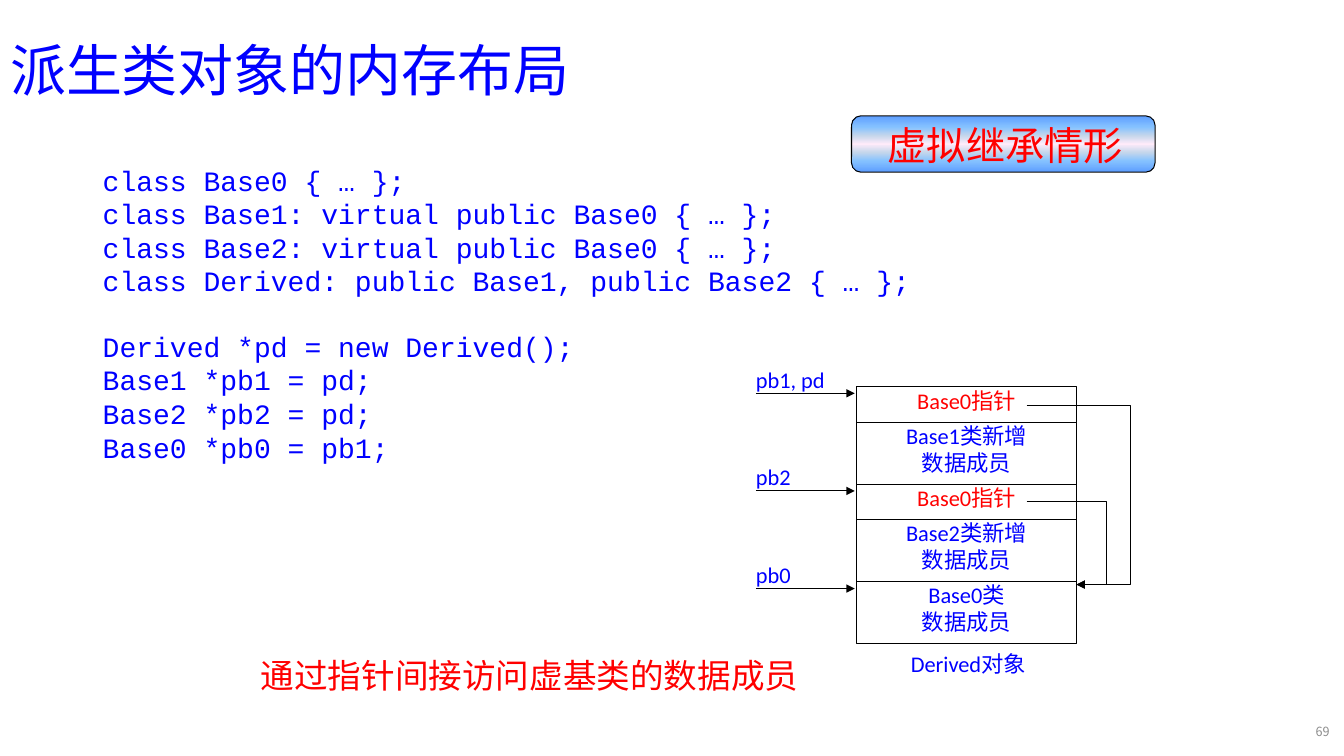
from lxml.etree import SubElement
from pptx import Presentation
from pptx.dml.color import RGBColor
from pptx.enum.shapes import MSO_CONNECTOR, MSO_SHAPE
from pptx.enum.text import MSO_ANCHOR, PP_ALIGN
from pptx.oxml.ns import qn
from pptx.util import Cm, Pt

COLOURS = {
    "blue": "0000FF", "red": "FF0000", "black": "000000", "grey": "8C8C8C",
    "deep sky": "5E9EFF", "sky": "85C2FF", "mist": "C4D6EB", "blush": "FFEBFA",
}
CJK_FONT = "Noto Sans CJK SC"
INSETS = ("margin_left", "margin_top", "margin_right", "margin_bottom")


def colour(name):
    return RGBColor.from_string(COLOURS[name])


class LayoutPage:
    """Holds the current slide and the style of its elements."""

    label_style = {"name": "Calibri", "size": Pt(16)}
    line_width = Pt(0.75)

    def __init__(self, deck):
        self.page = deck.slides.add_slide(deck.slide_layouts[5])
        self.shapes = self.page.shapes

    def fill_text(self, frame, lines, ink, style, **paragraph_format):
        frame.word_wrap = True
        for index, line in enumerate(lines):
            para = frame.paragraphs[0] if index == 0 else frame.add_paragraph()
            for name, value in paragraph_format.items():
                setattr(para, name, value)
            span = para.add_run()
            span.text = line
            for name, value in style.items():
                setattr(span.font, name, value)
            span.font.color.rgb = colour(ink)
            east_asian = SubElement(span.font._element, qn("a:ea"))
            east_asian.set("typeface", CJK_FONT)

    def title(self, text, *place):
        box = self.shapes.title
        box.left, box.top, box.width, box.height = map(Cm, place)
        box.text_frame.vertical_anchor = MSO_ANCHOR.MIDDLE
        self.fill_text(box.text_frame, [text], "blue", {"name": CJK_FONT, "size": Pt(40)},
                       alignment=PP_ALIGN.LEFT, line_spacing=0.9)

    def text(self, lines, place, ink, style, **paragraph_format):
        box = self.shapes.add_textbox(*map(Cm, place))
        self.fill_text(box.text_frame, lines, ink, style, **paragraph_format)
        return box.text_frame

    def label(self, line, place, alignment):
        frame = self.text([line], place, "blue", self.label_style, alignment=alignment)
        self.clear_insets(frame)

    def clear_insets(self, frame):
        for inset in INSETS:
            setattr(frame, inset, 0)

    def outline(self, kind, place):
        box = self.shapes.add_shape(kind, *map(Cm, place))
        box.shadow.inherit = False
        box.line.color.rgb = colour("black")
        box.line.width = self.line_width
        return box

    def cell(self, lines, place, ink):
        box = self.outline(MSO_SHAPE.RECTANGLE, place)
        box.fill.background()
        box.text_frame.vertical_anchor = MSO_ANCHOR.TOP
        self.clear_insets(box.text_frame)
        self.fill_text(box.text_frame, lines, ink, self.label_style,
                       alignment=PP_ALIGN.CENTER)

    def badge(self, place, stops):
        box = self.outline(MSO_SHAPE.ROUNDED_RECTANGLE, place)
        box.fill.gradient()
        box.fill.gradient_angle = 90
        stop_list = box.fill._fill._gradFill.find(qn("a:gsLst"))
        for old_stop in list(stop_list):
            stop_list.remove(old_stop)
        for percent, name in stops:
            stop = SubElement(stop_list, qn("a:gs"), pos=str(percent * 1000))
            SubElement(stop, qn("a:srgbClr"), val=COLOURS[name])

    def arrow(self, start, end, turn=None):
        """Straight arrow, or an elbow whose upright part stands at x = turn."""
        kind = MSO_CONNECTOR.STRAIGHT if turn is None else MSO_CONNECTOR.ELBOW
        line = self.shapes.add_connector(kind, *map(Cm, start + end))
        line.line.color.rgb = colour("black")
        line.line.width = self.line_width
        properties = line._element.spPr
        SubElement(properties.find(qn("a:ln")), qn("a:tailEnd"), type="triangle")
        SubElement(properties, qn("a:effectLst"))
        if turn is not None:
            share = round((turn - start[0]) / (end[0] - start[0]) * 100000)
            guides = properties.find(qn("a:prstGeom")).get_or_add_avLst()
            SubElement(guides, qn("a:gd"), name="adj1", fmla=f"val {share}")


def main():
    deck = Presentation()
    deck.slide_width, deck.slide_height = Cm(33.87), Cm(19.05)
    slide = LayoutPage(deck)

    # Heading and badge
    slide.title("派生类对象的内存布局", 0, 0, 29.21, 3.68)
    slide.badge((21.46, 2.92, 7.65, 1.42), [
        (0, "deep sky"), (20, "sky"), (35, "mist"), (50, "blush"),
        (65, "mist"), (80, "sky"), (100, "deep sky")])
    slide.text(["虚拟继承情形"], (21.54, 2.92, 7.59, 1.14), "red",
               {"name": "Arial", "size": Pt(28)}, alignment=PP_ALIGN.CENTER)

    # Code: class definitions, then the pointers after a gap
    code = slide.text([
        "class Base0 { … };",
        "class Base1: virtual public Base0 { … };",
        "class Base2: virtual public Base0 { … };",
        "class Derived: public Base1, public Base2 { … };",
        "Derived *pd = new Derived();",
        "Base1 *pb1 = pd;",
        "Base2 *pb2 = pd;",
        "Base0 *pb0 = pb1;",
    ], (2.34, 3.94, 29.21, 13.23), "blue", {"name": "Courier New", "size": Pt(20)},
        line_spacing=0.95, space_after=Pt(1.2))
    code.margin_top = Cm(0.23)
    code.paragraphs[4].space_before = Pt(22.7)

    # Conclusion
    note = slide.text(["通过指针间接访问虚基类的数据成员"], (6.32, 16.38, 14.2, 1.3),
                      "red", {"name": "Times New Roman", "size": Pt(24)})
    note.word_wrap = False

    # Memory cells, stacked from the top
    top = 9.75
    for lines, height, ink in [
        (["Base0指针"], 0.89, "red"),
        (["Base1类新增", "数据成员"], 1.56, "blue"),
        (["Base0指针"], 0.89, "red"),
        (["Base2类新增", "数据成员"], 1.56, "blue"),
        (["Base0类", "数据成员"], 1.56, "blue"),
    ]:
        slide.cell(lines, (21.59, top, 5.54, height), ink)
        top += height
    slide.label("Derived对象", (22.68, 16.38, 3.45, 0.81), PP_ALIGN.CENTER)

    # Named pointers into the object
    for index, name in enumerate(["pb1, pd", "pb2", "pb0"]):
        level = 9.91 + 2.46 * index
        slide.label(name, (19.05, level - 0.69, 2.92, 0.79), PP_ALIGN.JUSTIFY)
        slide.arrow((19.05, level), (21.54, level))

    # Base0 pointers lead to the shared Base0 part
    for level, turn in [(10.21, 28.5), (12.65, 27.89)]:
        slide.arrow((25.87, level), (27.13, 14.73), turn)

    # Page number
    number = slide.text(["69"], (32.74, 17.93, 1.02, 1.02), "grey",
                        {"name": CJK_FONT, "size": Pt(9)}, alignment=PP_ALIGN.RIGHT)
    number.vertical_anchor = MSO_ANCHOR.MIDDLE

    deck.save("out.pptx")


if __name__ == "__main__":
    main()
